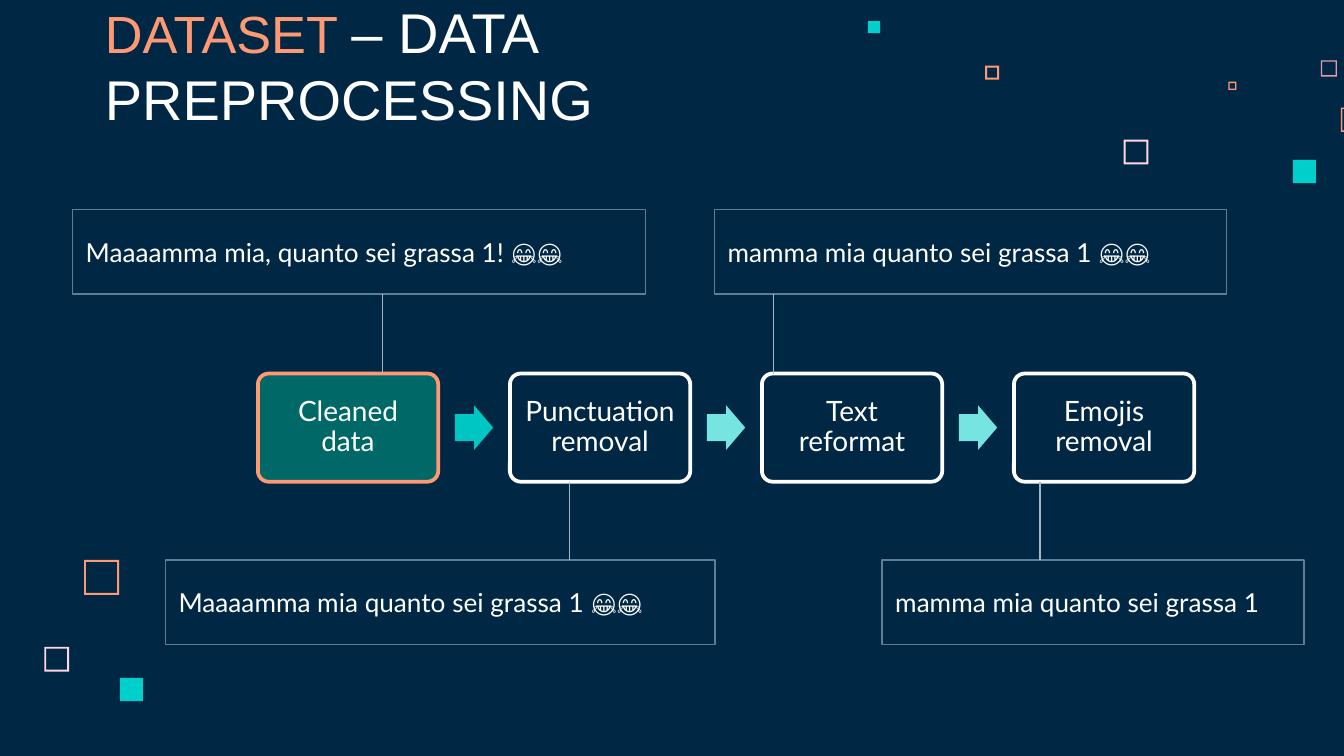
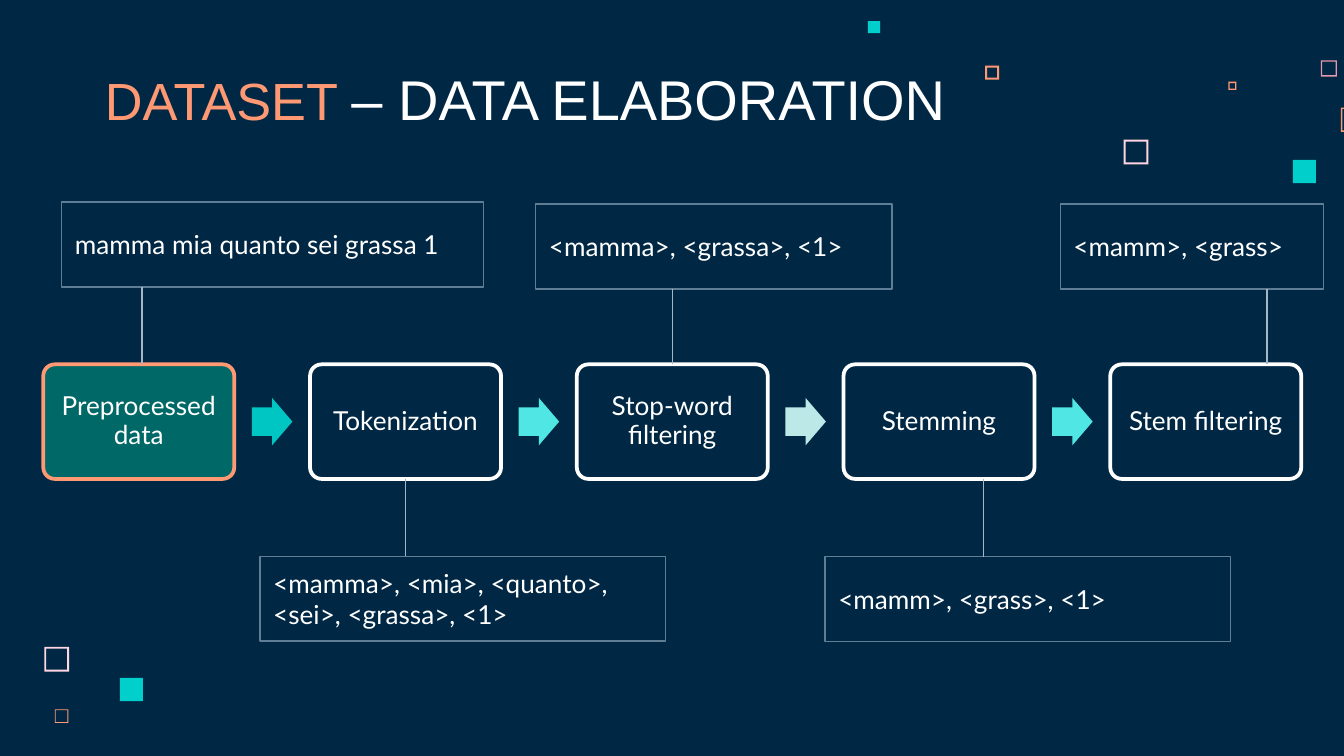
from pptx import Presentation
from pptx.dml.color import RGBColor
from pptx.enum import shapes, text
from pptx.oxml import ns
from pptx.util import Pt
from lxml import etree

NAVY = RGBColor(0x00, 0x28, 0x45)
WHITE = RGBColor(0xFF, 0xFF, 0xFF)
CORAL = RGBColor(0xFF, 0x99, 0x73)
BLUSH = RGBColor(0xFF, 0xD6, 0xE1)
ROSE = RGBColor(0xE8, 0x98, 0xAC)
CYAN = RGBColor(0x00, 0xCF, 0xCC)
DEEP_TEAL = RGBColor(0x00, 0x68, 0x66)
TEAL = RGBColor(0x00, 0xC6, 0xC3)
AQUA = RGBColor(0x76, 0xE4, 0xE1)
BRIGHT_AQUA = RGBColor(0x4F, 0xE6, 0xE3)
PALE_AQUA = RGBColor(0xBC, 0xE9, 0xE7)
SLATE = RGBColor(0x5F, 0x7D, 0x95)
MIST = RGBColor(0xA5, 0xB7, 0xC6)

TITLE_FONT = "Arial"
BODY_FONT = "Lato"
NOTE_HEIGHT = 45.4
NOTE_SIZE = 14

# left, top, side, colour, border (0 means solid)
SHARED_SQUARES = [
    (602, 74.9, 13.2, BLUSH, 1),
    (707.6, 32.4, 8.6, ROSE, 0.7),
    (658, 43.8, 4.4, CORAL, 0.7),
    (718.3, 57.6, 13, CORAL, 0.8),
    (692.6, 85.7, 12.4, CYAN, 0),
    (527.8, 35.2, 7.4, CORAL, 1),
    (465, 11.3, 6.5, CYAN, 0),
    (23.8, 346.6, 13.2, BLUSH, 1),
    (64.2, 363.2, 12.4, CYAN, 0),
]

SLIDES = [
    {
        "title": "– DATA PREPROCESSING",
        "square": (45.1, 300, 18.7, CORAL, 1),
        "left": 138.2, "top": 200.1, "width": 96.6, "pitch": 135, "size": 15,
        "arrows": [TEAL, AQUA, AQUA],
        # step, note, note left, note top, note width, line position
        "steps": [
            ("Cleaned data", "Maaaamma mia, quanto sei grassa 1! 😂😂", 38.8, 112.2, 307.2, 205),
            ("Punctuation removal", "Maaaamma mia quanto sei grassa 1 😂😂", 88.6, 300, 294.4, 305.2),
            ("Text reformat", "mamma mia quanto sei grassa 1 😂😂", 382.8, 112.2, 274.4, 414.3),
            ("Emojis removal", "mamma mia quanto sei grassa 1", 472.5, 300, 226, 557.2),
        ],
    },
    {
        "title": "– DATA ELABORATION",
        "square": (29.4, 380.1, 7.2, CORAL, 0.4),
        "left": 23.2, "top": 195.2, "width": 102.3, "pitch": 142.9, "size": 14,
        "arrows": [TEAL, BRIGHT_AQUA, PALE_AQUA, BRIGHT_AQUA],
        "steps": [
            ("Preprocessed data", "mamma mia quanto sei grassa 1", 33, 108.3, 226, 76.1),
            ("Tokenization", "<mamma>, <mia>, <quanto>, <sei>, <grassa>, <1>", 139.3, 298, 217.2, 218),
            ("Stop-word filtering", "<mamma>, <grassa>, <1>", 287, 109.4, 190.8, 360),
            ("Stemming", "<mamm>, <grass>, <1>", 442, 298.2, 217.2, 526.8),
            ("Stem filtering", "<mamm>, <grass>", 568, 109.4, 141, 678.8),
        ],
    },
]


def add_span(para, words, font, size, colour):
    span = para.add_run()
    span.text = words
    span.font.name = font
    span.font.size = Pt(size)
    span.font.color.rgb = colour


def set_frame(box, anchor, inset):
    frame = box.text_frame
    frame.word_wrap = True
    frame.auto_size = text.MSO_AUTO_SIZE.NONE
    frame.vertical_anchor = anchor
    frame.margin_left = frame.margin_right = Pt(inset)
    frame.margin_top = frame.margin_bottom = Pt(inset)
    return frame.paragraphs[0]


def place(box, left, top, width, height):
    box.left, box.top, box.width, box.height = Pt(left), Pt(top), Pt(width), Pt(height)


def add_box(page, kind, left, top, width, height, fill=None, line=None, weight=0.75):
    box = page.shapes.add_shape(kind, Pt(left), Pt(top), Pt(width), Pt(height))
    paint(box, fill, line, weight)
    return box


def paint(box, fill=None, line=None, weight=0.75):
    box.shadow.inherit = False
    if fill is None:
        box.fill.background()
    else:
        box.fill.solid()
        box.fill.fore_color.rgb = fill
    if line is None:
        box.line.fill.background()
    else:
        box.line.color.rgb = line
        box.line.width = Pt(weight)


def add_square(page, left, top, side, colour, border):
    if not border:
        add_box(page, shapes.MSO_SHAPE.RECTANGLE, left, top, side, side, colour)
        return
    right, bottom = left + side, top + side
    outer = [(left, top), (left, bottom), (right, bottom), (right, top)]
    inner = [(left + border, top + border), (right - border, top + border),
             (right - border, bottom - border), (left + border, bottom - border)]
    outer, inner = ([(Pt(x), Pt(y)) for x, y in ring] for ring in (outer, inner))
    builder = page.shapes.build_freeform(*outer[0], scale=1.0)
    builder.add_line_segments(outer[1:], close=True)
    builder.move_to(*inner[0])
    builder.add_line_segments(inner[1:], close=True)
    paint(builder.convert_to_shape(), colour)


def add_title(page, words):
    title = page.shapes.title
    place(title, 49, 32.4, 501.8, 45.4)
    para = set_frame(title, text.MSO_ANCHOR.BOTTOM, 7.2)
    para.alignment = text.PP_ALIGN.LEFT
    add_span(para, "DATASET ", TITLE_FONT, 28, CORAL)
    add_span(para, words, TITLE_FONT, 30, WHITE)


def add_steps(page, content):
    width, pitch, top = content["width"], content["pitch"], content["top"]
    height = width * 0.6
    arrow_width, arrow_height = width * 0.212, width * 0.248
    boxes = []
    for index, (words, *_) in enumerate(content["steps"]):
        left = content["left"] + index * pitch
        fill, line = (None, WHITE) if index else (DEEP_TEAL, CORAL)
        box = add_box(page, shapes.MSO_SHAPE.ROUNDED_RECTANGLE,
                      left, top, width, height, fill, line, 2)
        box.adjustments[0] = 0.1
        para = set_frame(box, text.MSO_ANCHOR.MIDDLE, 4.2)
        para.alignment = text.PP_ALIGN.CENTER
        para.line_spacing = 0.9
        add_span(para, words, BODY_FONT, content["size"], WHITE)
        boxes.append(box)
        if index < len(content["arrows"]):
            arrow = add_box(page, shapes.MSO_SHAPE.RIGHT_ARROW,
                            left + (width + pitch - arrow_width) / 2,
                            top + (height - arrow_height) / 2,
                            arrow_width, arrow_height, content["arrows"][index])
            arrow.adjustments[0] = 0.6
            arrow.adjustments[1] = 0.5
    return boxes


def add_note(page, step, words, left, top, width, line_x):
    note = add_box(page, shapes.MSO_SHAPE.RECTANGLE, left, top, width, NOTE_HEIGHT, line=SLATE)
    para = set_frame(note, text.MSO_ANCHOR.MIDDLE, 7.2)
    para.alignment = text.PP_ALIGN.LEFT
    add_span(para, words, BODY_FONT, NOTE_SIZE, WHITE)

    above = note.top < step.top
    step_y = step.top if above else step.top + step.height
    note_y = note.top + note.height if above else note.top
    line = page.shapes.add_connector(shapes.MSO_CONNECTOR.STRAIGHT,
                                     Pt(line_x), step_y, Pt(line_x), note_y)
    line.line.color.rgb = MIST
    line.line.width = Pt(0.75)
    etree.SubElement(line._element.spPr, ns.qn("a:effectLst"))
    middle = step.left + step.width // 2
    if abs(middle - Pt(line_x)) < Pt(1):
        line.begin_connect(step, 0 if above else 2)
        line.end_x = line.begin_x


def main():
    deck = Presentation()
    deck.slide_width, deck.slide_height = Pt(720), Pt(405)
    background = deck.slide_master.background.fill
    background.solid()
    background.fore_color.rgb = NAVY
    for content in SLIDES:
        page = deck.slides.add_slide(deck.slide_layouts[5])
        for square in SHARED_SQUARES + [content["square"]]:
            add_square(page, *square)
        add_title(page, content["title"])
        boxes = add_steps(page, content)
        for box, (_, *note) in zip(boxes, content["steps"]):
            add_note(page, box, *note)
    deck.save("out.pptx")


if __name__ == "__main__":
    main()
